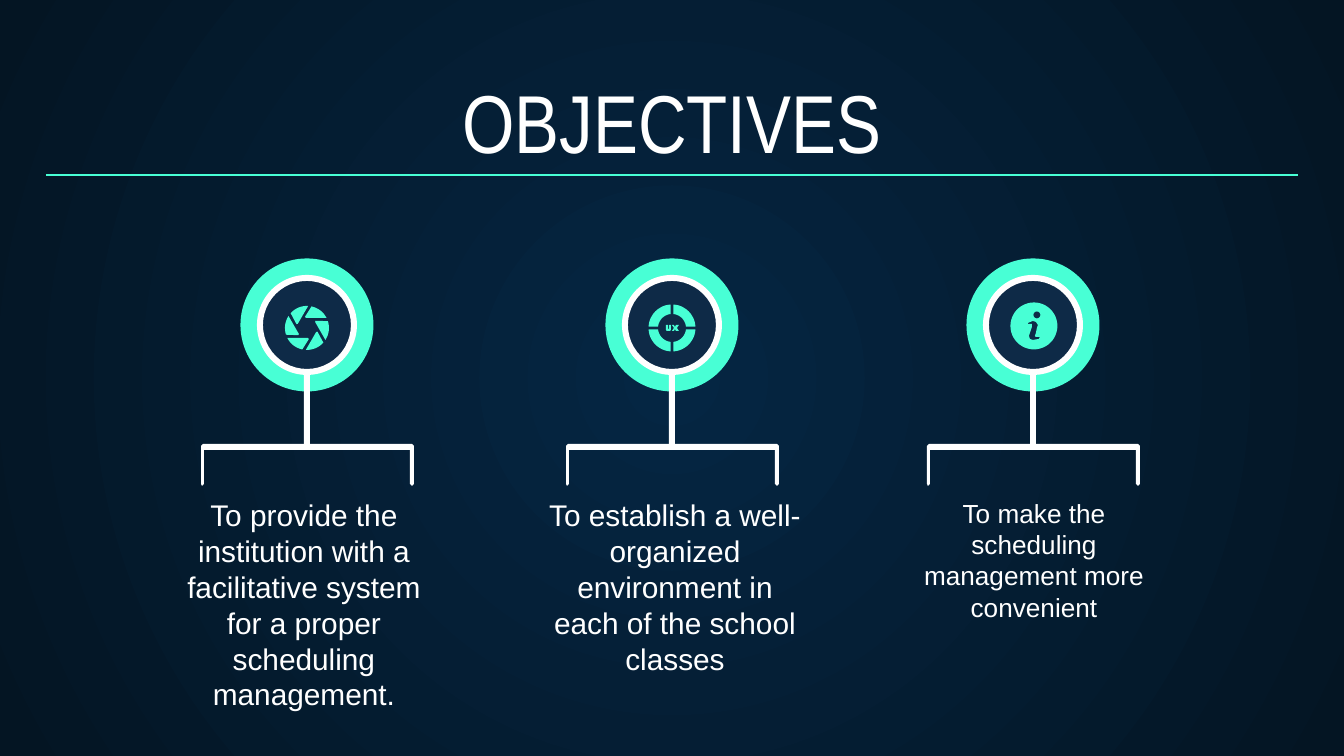
from dataclasses import dataclass
from math import asin, cos, pi, radians, sin

from lxml.etree import SubElement
from pptx import Presentation
from pptx.dml.color import RGBColor
from pptx.enum.shapes import MSO_CONNECTOR, MSO_SHAPE
from pptx.enum.text import MSO_ANCHOR, PP_ALIGN
from pptx.oxml.ns import qn
from pptx.util import Emu, Pt

EMU_PER_PX = 914400 / 134.4


@dataclass(frozen=True)
class Theme:
    """Colours, fonts and type sizes of the slide."""

    glow: RGBColor = RGBColor.from_string("052643")
    edge: RGBColor = RGBColor.from_string("041523")
    accent: RGBColor = RGBColor.from_string("48FFD5")
    core: RGBColor = RGBColor.from_string("0E2A47")
    white: RGBColor = RGBColor.from_string("FFFFFF")
    title_font: str = "Arial Narrow"
    body_font: str = "Arial"
    title_size: int = 44
    body_size: int = 16
    small_size: int = 14
    rule_width: float = 0.75


THEME = Theme()
MEDALLION_Y = 325
OBJECTIVES = [
    (307, 165, 278, THEME.body_size, "To provide the institution with a facilitative system "
     "for a proper scheduling management."),
    (672, 530, 290, THEME.body_size, "To establish a well-organized environment in each of the "
     "school classes"),
    (1033, 892, 284, THEME.small_size, "To make the scheduling management more convenient"),
]
BRACKET = [(-105, 486), (-103, 484), (-103, 450), (103, 450), (103, 484), (105, 486),
           (107, 484), (107, 446), (105, 444), (-104, 444), (-106, 446), (-106, 484)]
LETTER_U = [(-6, -3), (-4, -3), (-4, 1), (-3, 1), (-3, -3), (-1, -3), (-1, 2), (-2, 3),
            (-5, 3), (-6, 2)]
LETTER_X = [(0, -3), (2, -3), (3, -1), (4, -3), (7, -3), (5, 0), (7, 3), (4, 3), (3, 1),
            (2, 3), (0, 3), (2, 0)]
INFO_STEM = [(-1, -5), (2, -4), (4, -1), (3, 2), (2, 7), (1, 10), (2, 11), (6, 11), (5, 13),
             (-1, 14), (-4, 13), (-5, 10), (-4, 7), (-2, 1), (-2, -2), (-6, -2), (-6, -3)]


def px(length):
    """Turn pixels into EMU."""
    return Emu(round(length * EMU_PER_PX))


def arc(radius, start, end, steps=12, centre=(0, 0)):
    """Return points along an arc whose angles are in radians."""
    angles = [start + (end - start) * step / steps for step in range(steps + 1)]
    return [(centre[0] + radius * cos(a), centre[1] + radius * sin(a)) for a in angles]


def turned(points, degrees):
    """Rotate points about the origin."""
    c, s = cos(radians(degrees)), sin(radians(degrees))
    return [(x * c - y * s, x * s + y * c) for x, y in points]


def paint(shape, colour):
    """Give a shape a plain fill without line or shadow."""
    shape.shadow.inherit = False
    shape.fill.solid()
    shape.fill.fore_color.rgb = colour
    shape.line.fill.background()


def add_outline(slide, origin, colour, *contours):
    """Draw closed contours around an origin as one filled shape."""
    placed = [[(px(origin[0] + x), px(origin[1] + y)) for x, y in contour]
              for contour in contours]
    builder = slide.shapes.build_freeform(*placed[0][0])
    for index, contour in enumerate(placed):
        if index:
            builder.move_to(*contour[0])
        builder.add_line_segments(contour[1:], close=True)
    paint(builder.convert_to_shape(), colour)


def add_preset(slide, kind, box, colour, adjustment=None):
    """Draw a filled preset shape."""
    shape = slide.shapes.add_shape(kind, *map(px, box))
    if adjustment is not None:
        shape.adjustments[0] = adjustment
    paint(shape, colour)


def add_disc(slide, kind, centre, diameter, colour, adjustment=None):
    """Draw a round preset shape about a centre."""
    x, y = centre
    box = (x - diameter / 2, y - diameter / 2, diameter, diameter)
    add_preset(slide, kind, box, colour, adjustment)


def add_text(slide, box, text, font, size, anchor=MSO_ANCHOR.TOP):
    """Place centred white text in a wrapping box."""
    frame = slide.shapes.add_textbox(*map(px, box)).text_frame
    frame.word_wrap = True
    frame.vertical_anchor = anchor
    frame.margin_left = frame.margin_right = frame.margin_top = frame.margin_bottom = px(13)
    paragraph = frame.paragraphs[0]
    paragraph.alignment = PP_ALIGN.CENTER
    run = paragraph.add_run()
    run.text = text
    run.font.name, run.font.size = font, Pt(size)
    run.font.color.rgb = THEME.white


def add_rule(slide, left, right, y):
    """Draw the thin accent line under the title."""
    rule = slide.shapes.add_connector(MSO_CONNECTOR.STRAIGHT, px(left), px(y), px(right), px(y))
    rule.line.color.rgb = THEME.accent
    rule.line.width = Pt(THEME.rule_width)
    SubElement(rule.element.spPr, qn("a:effectLst"))


def add_background(slide):
    """Fill the background with a radial gradient."""
    fill = slide.background.fill
    fill.gradient()
    for stop, position, colour in zip(fill.gradient_stops, (0, 1), (THEME.glow, THEME.edge)):
        stop.position, stop.color.rgb = position, colour
    gradient = slide.element.find(".//" + qn("a:gradFill"))
    gradient.remove(gradient.find(qn("a:lin")))
    radial = SubElement(gradient, qn("a:path"), {"path": "circle"})
    SubElement(radial, qn("a:fillToRect"), dict.fromkeys("ltrb", "50000"))


def add_medallion(slide, x):
    """Draw the bracket, stem and ringed disc of one objective."""
    centre = (x, MEDALLION_Y)
    add_outline(slide, (x, 0), THEME.white, BRACKET)
    add_disc(slide, MSO_SHAPE.OVAL, centre, 133, THEME.accent)
    add_preset(slide, MSO_SHAPE.ROUNDED_RECTANGLE, (x - 3, 316, 6, 134), THEME.white, 0.5)
    add_disc(slide, MSO_SHAPE.OVAL, centre, 94, THEME.core)
    add_disc(slide, MSO_SHAPE.DONUT, centre, 100, THEME.white, 0.06)


def add_aperture(slide, centre):
    """Draw six shutter blades."""
    blade = [(-2, -11), (-1, -10)] + arc(22, radians(-27), radians(-78))
    for step in range(6):
        add_outline(slide, centre, THEME.accent, turned(blade, 60 * step))


def add_ux_ring(slide, centre):
    """Draw a ring of four quadrants around the letters UX."""
    outer, inner, half_gap = 23.5, 14, 1.3
    outer_gap, inner_gap = asin(half_gap / outer), asin(half_gap / inner)
    quadrant = (arc(outer, outer_gap, pi / 2 - outer_gap)
                + arc(inner, pi / 2 - inner_gap, inner_gap))
    for step in range(4):
        add_outline(slide, centre, THEME.accent, turned(quadrant, 90 * step))
    for letter in (LETTER_U, LETTER_X):
        add_outline(slide, centre, THEME.accent, letter)


def add_info(slide, centre):
    """Draw a disc with a cut-out letter i."""
    disc = arc(23.5, 0, 2 * pi, 48)
    dot = arc(3.5, 0, 2 * pi, 16, (3, -11))
    add_outline(slide, centre, THEME.accent, disc, dot, INFO_STEM)


def main():
    """Build and save the slide."""
    deck = Presentation()
    deck.slide_width, deck.slide_height = px(1344), px(756)
    slide = deck.slides.add_slide(deck.slide_layouts[6])
    add_background(slide)
    add_text(slide, (46, 94, 1252, 89), "OBJECTIVES", THEME.title_font, THEME.title_size,
             MSO_ANCHOR.BOTTOM)
    for x, left, width, size, text in OBJECTIVES:
        add_text(slide, (left, 484, width, 74), text, THEME.body_font, size)
        add_medallion(slide, x)
    add_aperture(slide, (307, 328))
    add_ux_ring(slide, (672, 328))
    add_info(slide, (1034, 326))
    add_rule(slide, 46, 1298, 175)
    deck.save("out.pptx")


if __name__ == "__main__":
    main()
